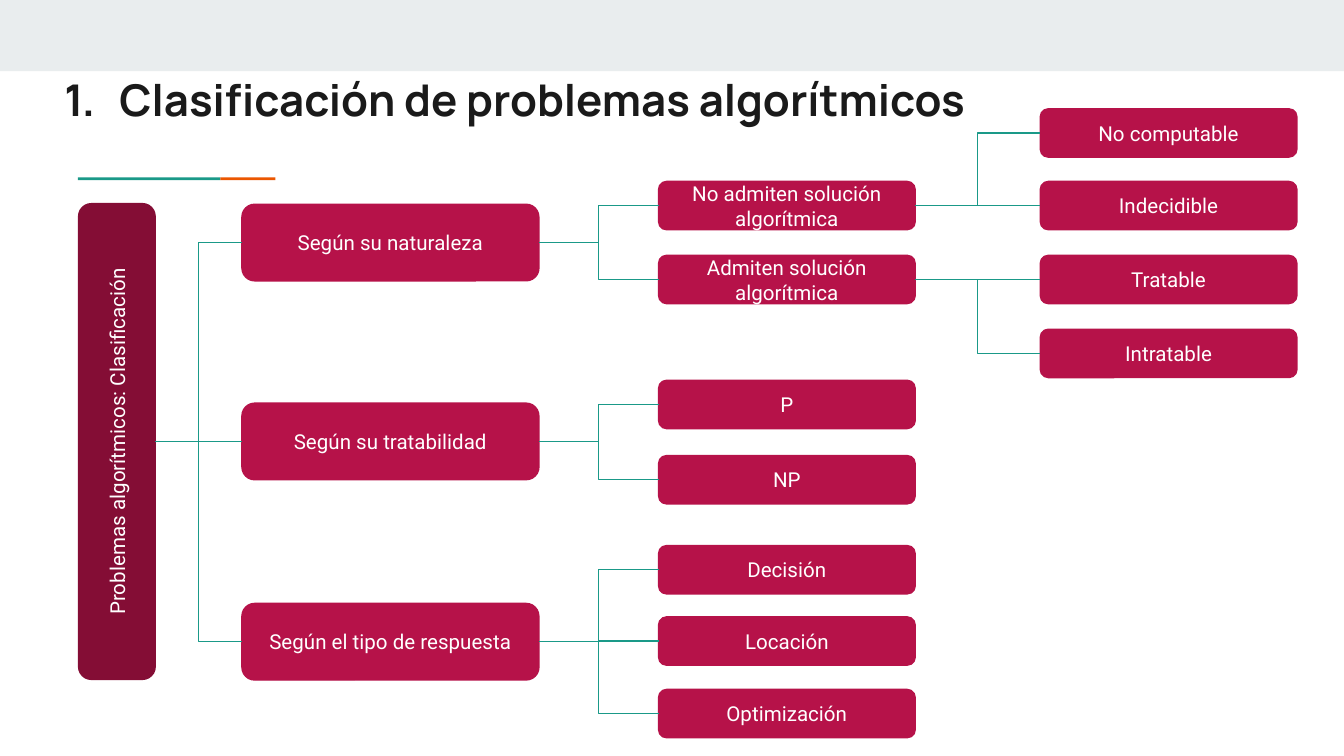
from lxml.etree import SubElement
from pptx import Presentation
from pptx.dml.color import RGBColor
from pptx.enum.shapes import MSO_CONNECTOR, MSO_SHAPE
from pptx.enum.text import MSO_ANCHOR, PP_ALIGN
from pptx.oxml.ns import qn
from pptx.util import Inches, Pt

BAND = RGBColor(0xE9, 0xED, 0xEE)
TEAL = RGBColor(0x1A, 0x99, 0x88)
ORANGE = RGBColor(0xEB, 0x56, 0x00)
INK = RGBColor(0x1A, 0x1A, 0x1A)
DARK_RED = RGBColor(0x84, 0x0D, 0x35)
RED = RGBColor(0xB6, 0x12, 0x49)
WHITE = RGBColor(0xFF, 0xFF, 0xFF)

CATEGORY = (1.8, 2.21, 0.57)
TYPE = (4.9, 1.91, 0.36)
SUBTYPE = (7.74, 1.91, 0.36)

TREE = [
    (CATEGORY, 1.52, "Según su naturaleza", [
        (TYPE, 1.35, "No admiten solución algorítmica", [
            (SUBTYPE, 0.81, "No computable", []),
            (SUBTYPE, 1.35, "Indecidible", []),
        ]),
        (TYPE, 1.9, "Admiten solución algorítmica", [
            (SUBTYPE, 1.9, "Tratable", []),
            (SUBTYPE, 2.45, "Intratable", []),
        ]),
    ]),
    (CATEGORY, 3, "Según su tratabilidad", [
        (TYPE, 2.83, "P", []),
        (TYPE, 3.39, "NP", []),
    ]),
    (CATEGORY, 4.49, "Según el tipo de respuesta", [
        (TYPE, 4.06, "Decisión", []),
        (TYPE, 4.59, "Locación", []),
        (TYPE, 5.13, "Optimización", []),
    ]),
]


def add_bar(slide, left, top, width, height, color):
    bar = slide.shapes.add_shape(
        MSO_SHAPE.RECTANGLE, Inches(left), Inches(top), Inches(width), Inches(height))
    bar.shadow.inherit = False
    bar.fill.solid()
    bar.fill.fore_color.rgb = color
    bar.line.fill.background()


def set_margins(frame):
    frame.margin_left = frame.margin_right = Inches(0.1)
    frame.margin_top = frame.margin_bottom = Inches(0.1)
    frame.word_wrap = True


def style_font(paragraph, name, size, color, bold=False):
    paragraph.font.name = name
    paragraph.font.size = Pt(size)
    paragraph.font.color.rgb = color
    paragraph.font.bold = bold


def add_title(slide, text):
    title = slide.shapes.add_textbox(Inches(0.29), Inches(0.44), Inches(6.99), Inches(0.59))
    set_margins(title.text_frame)
    paragraph = title.text_frame.paragraphs[0]
    paragraph.text = text
    style_font(paragraph, "Manrope", 23.4, INK, bold=True)
    properties = paragraph._p.get_or_add_pPr()
    properties.set("marL", str(Inches(0.5)))
    properties.set("indent", str(Inches(-0.41)))
    number = SubElement(properties, qn("a:buAutoNum"), type="arabicPeriod")
    properties.insert(0, number)


def add_node(slide, left, top, width, height, text, color):
    node = slide.shapes.add_shape(
        MSO_SHAPE.ROUNDED_RECTANGLE,
        Inches(left), Inches(top), Inches(width), Inches(height))
    node.shadow.inherit = False
    node.fill.solid()
    node.fill.fore_color.rgb = color
    node.line.color.rgb = color
    node.line.width = Pt(0.75)
    frame = node.text_frame
    set_margins(frame)
    frame.vertical_anchor = MSO_ANCHOR.MIDDLE
    paragraph = frame.paragraphs[0]
    paragraph.text = text
    paragraph.alignment = PP_ALIGN.CENTER
    style_font(paragraph, "Roboto", 11, WHITE)
    return node


def connect(slide, parent, child):
    connector = slide.shapes.add_connector(MSO_CONNECTOR.ELBOW, 0, 0, 0, 0)
    connector.begin_connect(parent, 2 if parent.rotation else 3)
    connector.end_connect(child, 1)
    if parent.rotation:
        connector.begin_x = parent.left + (parent.width + parent.height) // 2
        connector.begin_y = parent.top + parent.height // 2
    connector.line.color.rgb = TEAL
    connector.line.width = Pt(0.75)
    SubElement(connector._element.spPr, qn("a:effectLst"))


def add_branches(slide, parent, branches):
    for (left, width, height), top, text, children in branches:
        node = add_node(slide, left, top, width, height, text, RED)
        connect(slide, parent, node)
        add_branches(slide, node, children)


def main():
    presentation = Presentation()
    presentation.slide_width = Inches(10)
    presentation.slide_height = presentation.slide_width * 9 // 16
    slide = presentation.slides.add_slide(presentation.slide_layouts[6])

    add_bar(slide, 0, 0, 10, 0.53, BAND)
    add_bar(slide, 0.58, 1.32, 1.06, 0.02, TEAL)
    add_bar(slide, 1.64, 1.32, 0.41, 0.02, ORANGE)
    add_title(slide, "Clasificación de problemas algorítmicos")

    root = add_node(slide, -0.9, 3, 3.54, 0.57,
                    "Problemas algorítmicos: Clasificación", DARK_RED)
    root.rotation = 270
    add_branches(slide, root, TREE)

    presentation.save("out.pptx")


if __name__ == "__main__":
    main()
